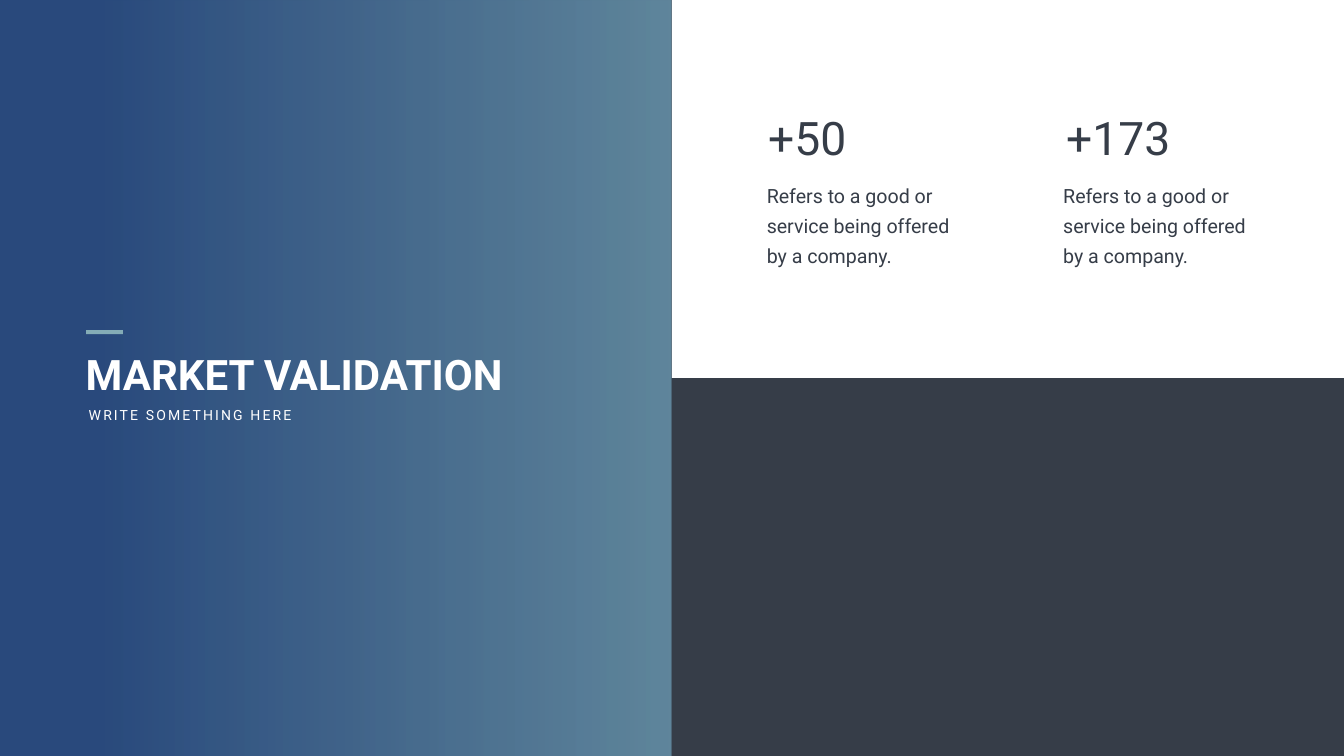
from dataclasses import dataclass
from lxml.etree import SubElement
from pptx import Presentation
from pptx.dml.color import RGBColor
from pptx.enum.shapes import MSO_SHAPE
from pptx.enum.text import MSO_ANCHOR, MSO_AUTO_SIZE, PP_ALIGN
from pptx.oxml.ns import qn
from pptx.util import Pt


@dataclass(frozen=True)
class Theme:
    font: str = "Roboto"
    dark: str = "363D48"
    white: str = "FFFFFF"
    mark: str = "84ACB6"
    fade: tuple = ((0.15, "264D89"), (1, "6997AF"))
    alpha: int = 80
    title: int = 60
    tag: int = 20
    stat: int = 66
    body: int = 28


theme = Theme()
WIDE, HIGH = 1919.52, 1080
HALF = WIDE / 2
TITLE = "MARKET VALIDATION"
TAG = "WRITE SOMETHING HERE"
NOTE = "Refers to a good or service being offered by a company."
STATS = [
    ("+50", (1090.08, 152.64, 127.44, 87.12), (1077.84, 244.08, 300.24, 144)),
    ("+173", (1515.6, 152.64, 164.88, 87.12), (1501.2, 244.08, 300.24, 144)),
]


def color(code):
    return RGBColor.from_string(code)


def place(shape, box):
    shape.left, shape.top, shape.width, shape.height = map(Pt, box)


def panel(box, fill=None):
    shape = slide.shapes.add_shape(MSO_SHAPE.RECTANGLE, *map(Pt, box))
    shape.shadow.inherit = False
    shape.line.fill.background()
    if fill:
        shape.fill.solid()
        shape.fill.fore_color.rgb = color(fill)
    return shape


def shade(shape):
    fill = shape.fill
    fill.gradient()
    fill.gradient_angle = 0
    for stop, (spot, code) in zip(fill.gradient_stops, theme.fade):
        stop.position = spot
        stop.color.rgb = color(code)
    for node in shape._element.spPr.iter(qn("a:srgbClr")):
        SubElement(node, qn("a:alpha")).set("val", str(theme.alpha * 1000))


def write(shape, text, size, ink, bold=False, wrap=True, inset=(7.2, 3.6)):
    frame = shape.text_frame
    frame.auto_size = MSO_AUTO_SIZE.NONE
    frame.word_wrap = wrap
    frame.vertical_anchor = MSO_ANCHOR.TOP
    frame.margin_left = frame.margin_right = Pt(inset[0])
    frame.margin_top = frame.margin_bottom = Pt(inset[1])
    para = frame.paragraphs[0]
    para.alignment = PP_ALIGN.LEFT
    para.space_before = Pt(0)
    run = para.add_run()
    run.text = text
    run.font.name = theme.font
    run.font.size = Pt(size)
    run.font.bold = bold
    run.font.color.rgb = color(ink)
    return para


def label(box, *args, **style):
    shape = slide.shapes.add_textbox(*map(Pt, box))
    return write(shape, *args, **style)


deck = Presentation()
deck.slide_width, deck.slide_height = Pt(WIDE), Pt(HIGH)
slide = deck.slides.add_slide(deck.slide_layouts[0])
slide.background.fill.solid()
slide.background.fill.fore_color.rgb = color(theme.dark)

shade(panel((0, 0, HALF, HIGH)))
panel((HALF, 0, HALF, HIGH / 2), theme.white)

head, tag = slide.placeholders
for shape, box in ((head, (115.2, 493.92, 632.16, 79.92)),
                   (tag, (119.52, 576.72, 313.2, 31.68))):
    place(shape, box)
    slide.shapes._spTree.append(shape._element)
write(head, TITLE, theme.title, theme.white, bold=True)
para = write(tag, TAG, theme.tag, theme.white, wrap=False)
para.runs[0].font._element.set("spc", "300")
panel((123.12, 471.6, 52.56, 5.76), theme.mark)

for value, top, base in STATS:
    note = label(base, NOTE, theme.body, theme.dark, inset=(17.28, 8.64))
    note.line_spacing = Pt(43)
    label(top, value, theme.stat, theme.dark, wrap=False)

deck.save("out.pptx")
